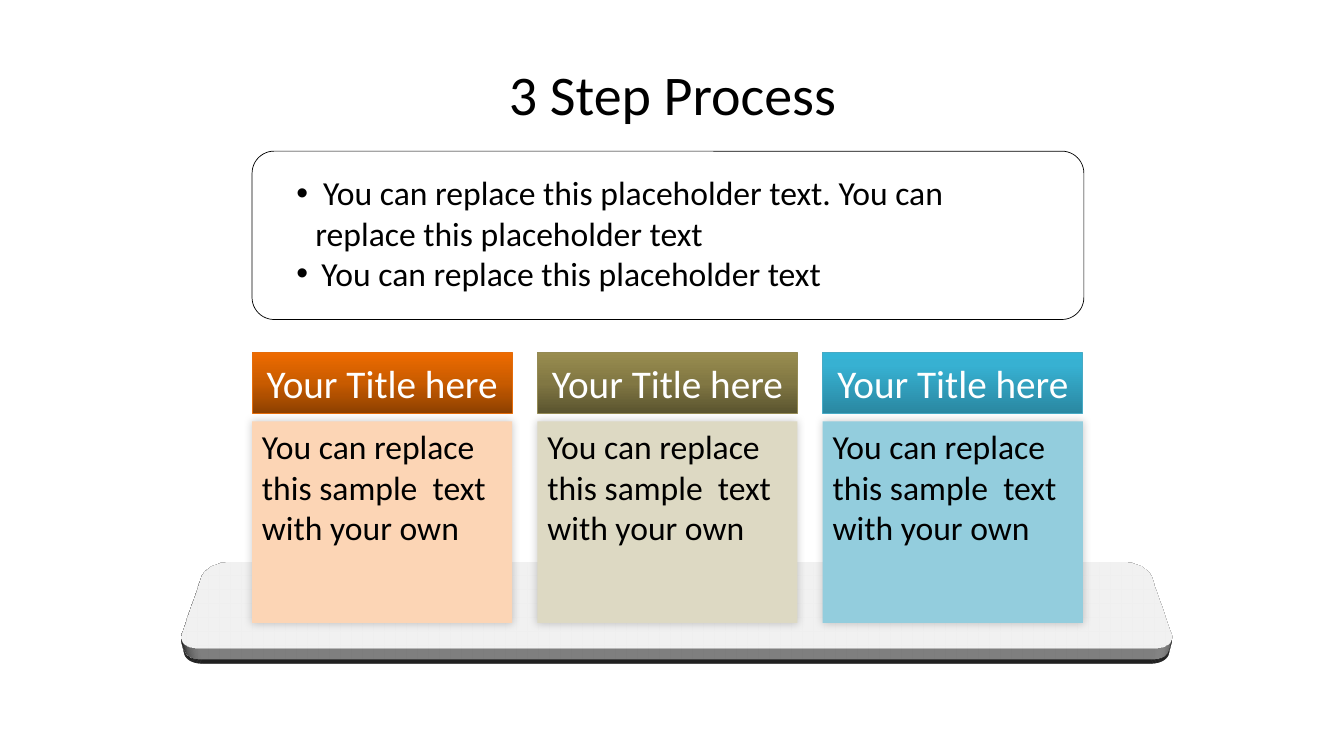
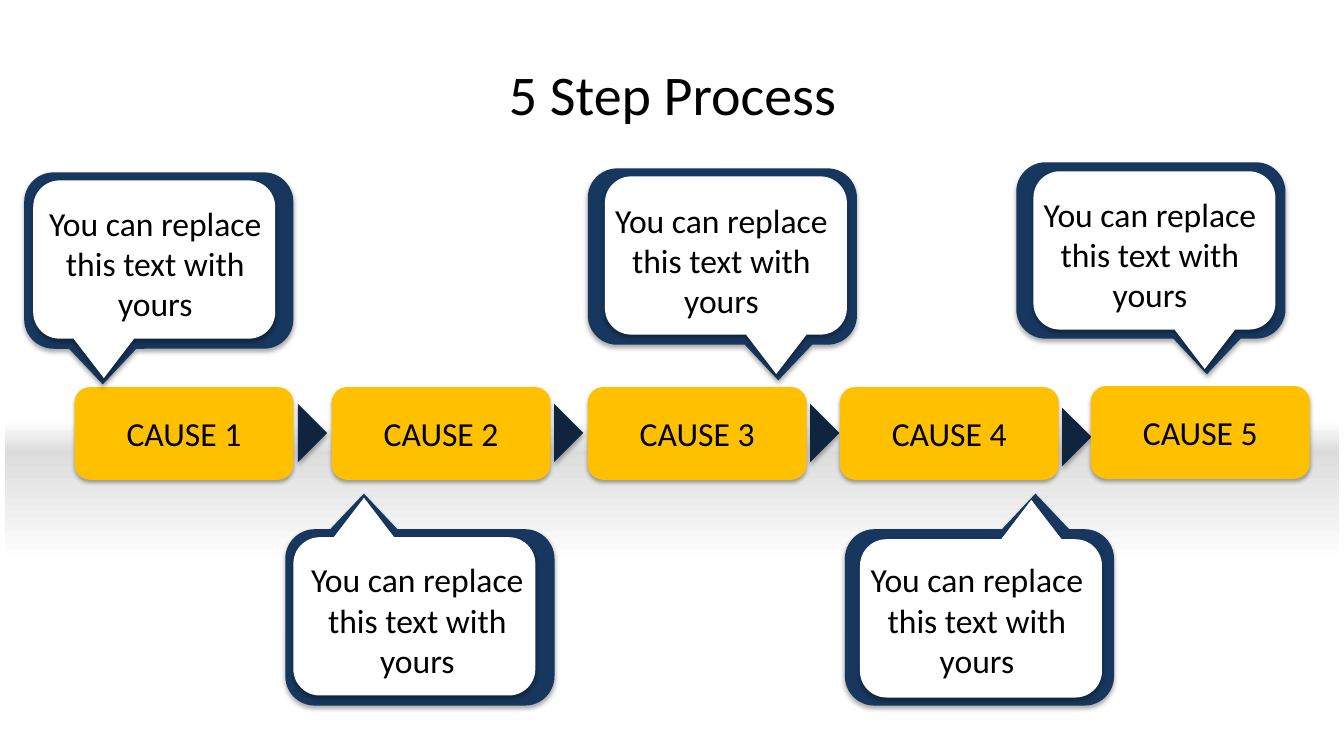
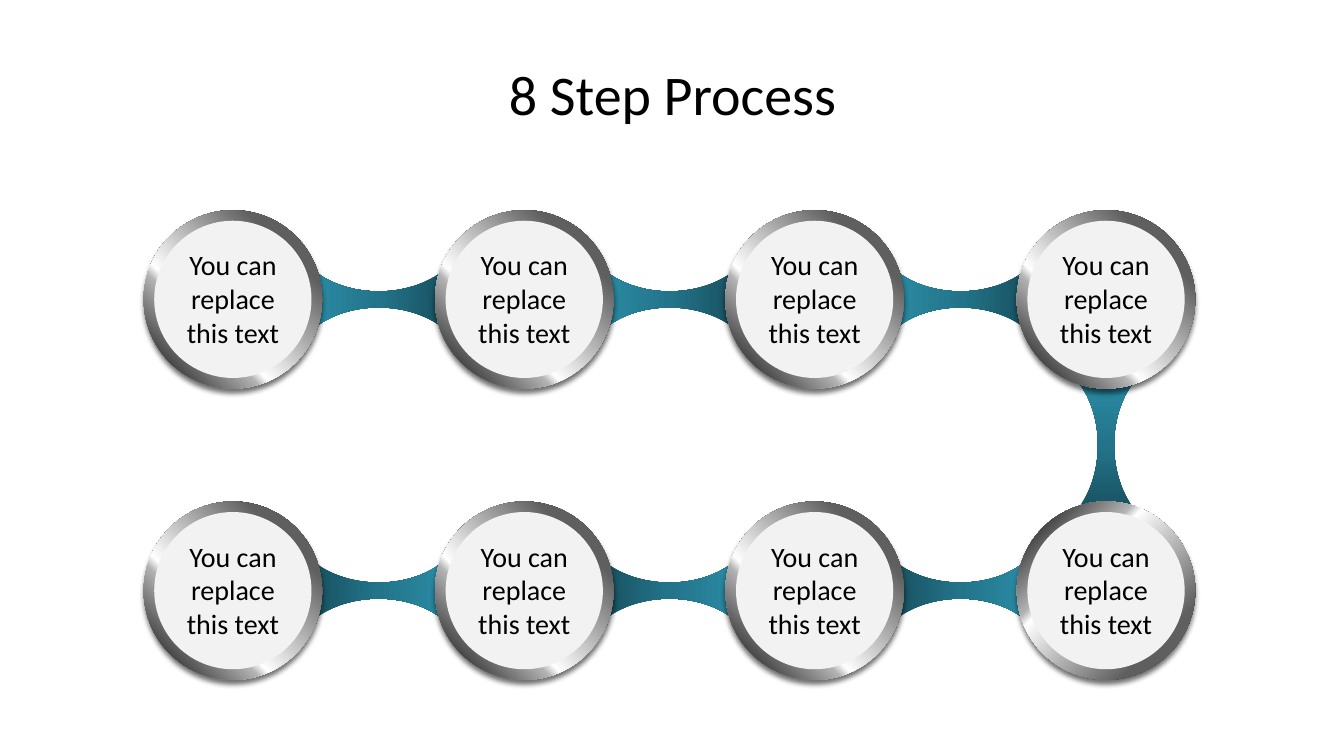
from lxml.etree import SubElement
from pptx import Presentation
from pptx.dml.color import RGBColor
from pptx.enum.shapes import MSO_SHAPE as Shape
from pptx.enum.text import MSO_ANCHOR as Anchor, PP_ALIGN as Align
from pptx.oxml.ns import qn
from pptx.util import Inches, Pt


class Theme:
    font = "Calibri"
    title, heading, body, small = 40, 28, 24, 20
    black, white, shelf = "000000", "FFFFFF", "A6A6A6"
    navy, arrow, amber, disc = "17375E", "0F243E", "FFC000", "F2F2F2"
    band_low = ([(0, "DDDDDD"), (100, "FFFFFF")], 90)
    band_high = ([(0, "DBDBDB"), (100, "FFFFFF")], 270)
    link = ([(0, "185261"), (50, "23748A"), (100, "298AA3")], 270)
    metal = ([(0, "262626"), (11, "5F5F5F"), (21, "5F5F5F"), (63, "FFFFFF"),
              (67, "B2B2B2"), (91, "292929"), (98, "777777"), (100, "EAEAEA")], 135)
    # Shadows: opacity %, blur pt, distance pt, direction in degrees
    shelf_shadow = (40, 4, 3, 90)
    card_shadow = (20, 6, 0, 315)
    box_shadow = (35, 3.1, 1.8, 90)
    callout_shadow = (32, 3.5, 2.2, 90)
    ring_shadow = (56, 4, 3, 90)


# Content
TITLES = ["3 Step Process", "5 Step Process", "8 Step Process"]
BULLETS = [  # text, hanging indent
    (" You can replace this placeholder text. You can replace this placeholder text", 0.19),
    ("You can replace this placeholder text", 0.25),
]
CARD_HEADING = "Your Title here"
CARD_TEXT = "You can replace this sample  text with your own"
CARDS = [  # body colour, heading line, heading gradient
    ("FCD5B5", "E46C0A", [(0, "8D4000"), (50, "C85B00"), (100, "EE6B00")]),
    ("DDD9C3", "948A54", [(0, "5A542F"), (50, "817743"), (100, "998D4F")]),
    ("93CDDD", "46AAC5", [(0, "2A88A2"), (80, "37B1D2"), (100, "34B4D6")]),
]
CALLOUT_TEXT = "You can replace this text with yours"
CAUSES = [  # label, box left and top
    ("CAUSE 1", 0.74, 3.84),
    ("CAUSE 2", 3.29, 3.84),
    ("CAUSE 3", 5.83, 3.84),
    ("CAUSE 4", 8.33, 3.84),
    ("CAUSE 5", 10.82, 3.83),
]
ARROWS = [(2.81, 4.15), (5.35, 4.15), (7.89, 4.15), (10.39, 4.19)]
CALLOUTS = [  # outer corner, inner corner, text box, pointer side and end (right, down: 1)
    ((0.24, 1.71), (0.33, 1.79), (0.35, 1.96, 2.38), (-1, 1)),
    ((2.83, 5.25), (2.91, 5.33), (2.91, 5.5, 2.46), (-1, -1)),
    ((5.83, 1.67), (6, 1.75), (5.91, 1.93, 2.49), (1, 1)),
    ((10.08, 1.61), (10.25, 1.7), (10.16, 1.87, 2.49), (1, 1)),
    ((8.38, 5.25), (8.53, 5.35), (8.46, 5.5, 2.46), (1, -1)),
]
NODE_TEXT = "You can replace this text"
LINK_SIDE = [  # one side of an upright link about its centre; three points make a curve
    [(0.28, -0.64)],
    [(0.27, -0.62)],
    [(0.15, -0.46), (0.08, -0.24), (0.08, 0)],
    [(0.08, 0.24), (0.15, 0.46), (0.27, 0.62)],
    [(0.28, 0.64)],
]


# Shared helpers
def set_gradient(shape, stops, angle):
    shape.fill.gradient()
    gradient = shape._element.spPr.find(qn("a:gradFill"))
    stop_list = gradient.find(qn("a:gsLst"))
    for old_stop in list(stop_list):
        stop_list.remove(old_stop)
    for position, color in stops:
        stop = SubElement(stop_list, qn("a:gs"), pos=str(position * 1000))
        SubElement(stop, qn("a:srgbClr"), val=color)
    gradient.find(qn("a:lin")).set("ang", str(angle * 60000))


def style(shape, fill, line=None, width=0.75, shadow=None):
    if isinstance(fill, tuple):
        set_gradient(shape, *fill)
    else:
        shape.fill.solid()
        shape.fill.fore_color.rgb = RGBColor.from_string(fill)
    if line:
        shape.line.color.rgb = RGBColor.from_string(line)
        shape.line.width = Pt(width)
    else:
        shape.line.fill.background()
    shape.shadow.inherit = False
    if shadow:
        opacity, blur, distance, direction = shadow
        effects = shape._element.spPr.find(qn("a:effectLst"))
        outer = SubElement(effects, qn("a:outerShdw"), blurRad=str(Pt(blur)),
                           dist=str(Pt(distance)), dir=str(direction * 60000),
                           algn="ctr", rotWithShape="0")
        color = SubElement(outer, qn("a:srgbClr"), val=Theme.black)
        SubElement(color, qn("a:alpha"), val=str(opacity * 1000))
    return shape


def add_box(slide, kind, box, fill, **look):
    shape = slide.shapes.add_shape(kind, *map(Inches, box))
    return style(shape, fill, **look)


def write(shape, lines, size=Theme.body, color=Theme.black, align=Align.CENTER,
          anchor=Anchor.TOP):
    frame = shape.text_frame
    for name, value in {"word_wrap": True, "vertical_anchor": anchor}.items():
        setattr(frame, name, value)
    for index, line in enumerate(lines):
        paragraph = frame.paragraphs[0] if index == 0 else frame.add_paragraph()
        paragraph.alignment = align
        run = paragraph.add_run()
        run.text = line
        for name, value in {"name": Theme.font, "size": Pt(size)}.items():
            setattr(run.font, name, value)
        run.font.color.rgb = RGBColor.from_string(color)
    return frame


def add_text(slide, box, lines, **text_format):
    return write(slide.shapes.add_textbox(*map(Inches, box)), lines, **text_format)


def add_bullet(paragraph, indent):
    properties = paragraph._p.get_or_add_pPr()
    properties.set("marL", str(Inches(indent)))
    properties.set("indent", str(-Inches(indent)))
    SubElement(properties, qn("a:buFont"), typeface="Arial")
    SubElement(properties, qn("a:buChar"), char="•")


def add_outline(slide, segments, fill):
    """A closed outline; segments of three points become curves."""
    points = [(Inches(x), Inches(y)) for segment in segments for x, y in segment]
    builder = slide.shapes.build_freeform(*points[0])
    builder.add_line_segments(points[1:], close=True)
    shape = builder.convert_to_shape()
    lines = iter(list(shape._element.iter(qn("a:lnTo"))))
    for segment in segments[1:]:
        steps = [next(lines) for _ in segment]
        if len(steps) == 3:
            outline = steps[0].getparent()
            curve = SubElement(outline, qn("a:cubicBezTo"))
            steps[0].addprevious(curve)
            for step in steps:
                curve.append(step[0])
                outline.remove(step)
    return style(shape, fill)


def new_slide(presentation, title):
    slide = presentation.slides.add_slide(presentation.slide_layouts[6])
    add_text(slide, (0.67, 0.3, 12, 1.25), [title], size=Theme.title, anchor=Anchor.MIDDLE)
    return slide


# Slide 1: three cards on a shelf
def add_shelf(slide):
    shelf = add_box(slide, Shape.ROUNDED_RECTANGLE, (1.92, 5.33, 9.58, 1.33), Theme.shelf,
                    line=Theme.white, width=1.75, shadow=Theme.shelf_shadow)
    properties = shelf._element.spPr
    scene = SubElement(properties, qn("a:scene3d"))
    SubElement(scene, qn("a:camera"), prst="perspectiveRelaxed")
    SubElement(scene, qn("a:lightRig"), rig="threePt", dir="t")
    SubElement(properties, qn("a:sp3d"), extrusionH=str(Inches(0.14)))


def build_cards(slide):
    add_shelf(slide)
    left, width, pitch = 2.5, 2.58, 2.83
    for index, (fill, line, stops) in enumerate(CARDS):
        x = left + index * pitch
        card = add_box(slide, Shape.RECTANGLE, (x, 4.18, width, 2), fill,
                       shadow=Theme.card_shadow)
        write(card, [CARD_TEXT], align=Align.LEFT)
        heading = add_box(slide, Shape.RECTANGLE, (x, 3.5, width, 0.6), (stops, 270), line=line)
        write(heading, [CARD_HEADING], size=Theme.heading, color=Theme.white,
              anchor=Anchor.MIDDLE)

    panel = add_box(slide, Shape.ROUNDED_RECTANGLE, (left, 1.5, 8.25, 1.67), Theme.white,
                    line=Theme.black, width=0.5)
    panel.adjustments[0] = 0.131
    frame = add_text(slide, (2.84, 1.66, 7.42, 1.31), [text for text, _ in BULLETS],
                     align=Align.LEFT)
    for paragraph, (_, indent) in zip(frame.paragraphs, BULLETS):
        add_bullet(paragraph, indent)


# Slide 2: five causes with callouts
def add_callout(slide, outer, inner, text_box, pointer):
    side, end = pointer
    layers = [((*outer, 2.67, 1.75), Theme.navy, 0.702),
              ((*inner, 2.4, 1.57), Theme.white, 0.749)]
    for box, fill, reach in layers:
        callout = add_box(slide, Shape.ROUNDED_RECTANGULAR_CALLOUT, box, fill,
                          shadow=Theme.callout_shadow)
        for index, value in enumerate((side * 0.208, end * reach, 0.167)):
            callout.adjustments[index] = value
    add_text(slide, (*text_box, 1.31), [CALLOUT_TEXT])


def build_causes(slide):
    add_box(slide, Shape.RECTANGLE, (0.05, 4.49, 13.23, 1.1), Theme.band_low)
    add_box(slide, Shape.RECTANGLE, (0.05, 4.17, 13.23, 0.33), Theme.band_high)
    for corner in ARROWS:
        arrow = add_box(slide, Shape.ISOSCELES_TRIANGLE, (*corner, 0.58, 0.29),
                        Theme.arrow, shadow=Theme.callout_shadow)
        arrow.rotation = 90
    for label, left, top in CAUSES:
        cause = add_box(slide, Shape.ROUNDED_RECTANGLE, (left, top, 2.17, 0.92), Theme.amber,
                        shadow=Theme.box_shadow)
        write(cause, [label], anchor=Anchor.MIDDLE)
    for callout in CALLOUTS:
        add_callout(slide, *callout)


# Slide 3: eight linked nodes
def add_link(slide, start, end, rotation):
    """An upright link with two concave sides, turned to its direction."""
    x, y = (start[0] + end[0]) / 2, (start[1] + end[1]) / 2
    segments = [[(x + sign * dx, y + sign * dy) for dx, dy in segment]
                for sign in (1, -1) for segment in LINK_SIDE]
    add_outline(slide, segments, Theme.link).rotation = rotation


def build_nodes(slide):
    columns = [2.31, 5.2, 8.08, 10.97]
    top, bottom = 2.97, 5.86
    centers = [(x, top) for x in columns] + [(x, bottom) for x in reversed(columns)]
    rotations = [270] * 3 + [0] + [90] * 3
    for start, end, rotation in zip(centers, centers[1:], rotations):
        add_link(slide, start, end, rotation)
    for index, (x, y) in enumerate(centers):
        for size, fill, shadow in ((1.77, Theme.metal, Theme.ring_shadow),
                                   (1.56, Theme.disc, None)):
            circle = add_box(slide, Shape.OVAL, (x - size / 2, y - size / 2, size, size), fill,
                             shadow=shadow)
            if index == 4 and shadow:  # the ring at the turn of the chain
                circle.rotation = 90
        add_text(slide, (x - 0.61, y - 0.56, 1.22, 1.11), [NODE_TEXT], size=Theme.small)


def main():
    presentation = Presentation()
    presentation.slide_width, presentation.slide_height = Inches(13.33), Inches(7.5)
    for title, build in zip(TITLES, (build_cards, build_causes, build_nodes)):
        build(new_slide(presentation, title))
    presentation.save("out.pptx")


if __name__ == "__main__":
    main()
